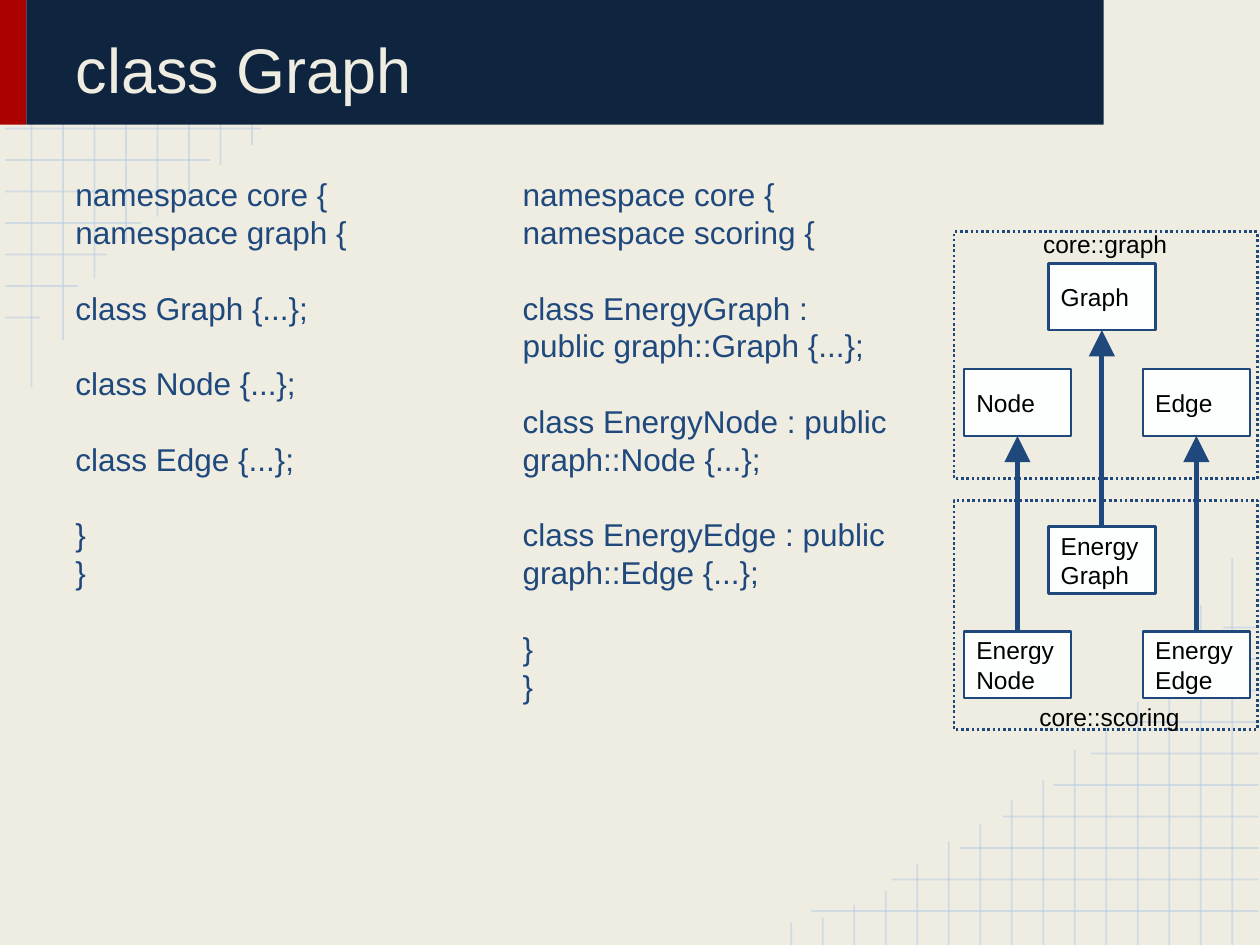
from lxml import etree
from pptx import Presentation
from pptx import util as u
from pptx.dml.color import RGBColor
from pptx.enum import dml, shapes, text
from pptx.oxml.ns import qn

CREAM = RGBColor(0xEF, 0xED, 0xE2)
GRID = RGBColor(0xB7, 0xCC, 0xE4)
RED = RGBColor(0xAB, 0x01, 0x01)
NAVY = RGBColor(0x0F, 0x24, 0x3E)
BLUE = RGBColor(0x1F, 0x49, 0x7D)
WHITE = RGBColor(0xFD, 0xFF, 0xFF)
BLACK = RGBColor(0, 0, 0)

ROW_ENDS = [3.59, 2.95, 2.41, 2.07, 1.67, 1.37, 1.12, 0.85, 0.62, 0.32]
COLUMN_ENDS = [3.07, 2.7, 2.21, 1.93, 1.72, 1.55, 1.31, 1.15,
               0.96, 0.82, 0.64, 0.43, 0.32, 0.22, 0.18]

GRAPH_CODE = [["namespace core {", "namespace graph {"], ["class Graph {...};"],
              ["class Node {...};"], ["class Edge {...};"], ["}", "}"]]
SCORING_CODE = [["namespace core {", "namespace scoring {"],
                ["class EnergyGraph : public graph::Graph {...};"],
                ["class EnergyNode : public graph::Node {...};"],
                ["class EnergyEdge : public graph::Edge {...};"], ["}", "}"]]

BOX_W, BOX_H = 0.85, 0.53
CLASSES = [("Graph", 8.32, 2.09, 4.18), ("Node", 7.65, 2.93, 5.01),
           ("Edge", 9.07, 2.93, 5.01)]


class Deck:
    """Holds the style and the current slide, and draws each kind of element."""

    font = "Arial"

    def __init__(self):
        self.prs = Presentation()
        self.prs.slide_width, self.prs.slide_height = u.Inches(10), u.Inches(7.5)
        self.s = self.prs.slides.add_slide(self.prs.slide_layouts[5])
        self.s.background.fill.solid()
        self.s.background.fill.fore_color.rgb = CREAM

    def frame(self, sp, size, color, anchor):
        tf = sp.text_frame
        tf.word_wrap = True
        tf.auto_size = text.MSO_AUTO_SIZE.NONE
        tf.vertical_anchor = anchor
        tf.margin_left = tf.margin_right = u.Inches(0.1)
        tf.margin_top = tf.margin_bottom = u.Inches(0.1)
        for p in tf.paragraphs:
            p.alignment = text.PP_ALIGN.LEFT
            for r in p.runs:
                r.font.name, r.font.size = self.font, u.Pt(size)
                r.font.color.rgb = color

    def title(self, words, x, y, w, h):
        sp = self.s.shapes.title
        sp.left, sp.top, sp.width, sp.height = map(u.Inches, (x, y, w, h))
        sp.text_frame.text = words
        self.frame(sp, 36, CREAM, text.MSO_ANCHOR.BOTTOM)
        self.s.shapes._spTree.append(sp._element)

    def text(self, blocks, x, y, w, h, size, color):
        sp = self.s.shapes.add_textbox(*map(u.Inches, (x, y, w, h)))
        tf = sp.text_frame
        tf.text = "\n".join(line for block in blocks for line in block)
        first = 0
        for block in blocks[:-1]:
            first += len(block)
            tf.paragraphs[first].space_before = u.Pt(size * 1.2)
        self.frame(sp, size, color, text.MSO_ANCHOR.TOP)

    def rect(self, x, y, w, h, fill=None, line=None, dash=None, words=""):
        sp = self.s.shapes.add_shape(shapes.MSO_SHAPE.RECTANGLE,
                                     *map(u.Inches, (x, y, w, h)))
        sp.shadow.inherit = False
        if fill is None:
            sp.fill.background()
        else:
            sp.fill.solid()
            sp.fill.fore_color.rgb = fill
        if line is None:
            sp.line.fill.background()
        else:
            sp.line.color.rgb, sp.line.width = line, u.Pt(1.5)
            sp.line.dash_style = dash
        if words:
            sp.text_frame.text = words
            self.frame(sp, 14, BLACK, text.MSO_ANCHOR.MIDDLE)

    def line(self, x1, y1, x2, y2, color, width):
        c = self.s.shapes.add_connector(shapes.MSO_CONNECTOR.STRAIGHT,
                                        *map(u.Inches, (x1, y1, x2, y2)))
        c.line.color.rgb, c.line.width = color, u.Pt(width)
        etree.SubElement(c._element.spPr, qn("a:effectLst"))
        return c.line._get_or_add_ln()

    def grid_line(self, x1, y1, x2, y2):
        ln = self.line(x1, y1, x2, y2, GRID, 1)
        etree.SubElement(ln.find(".//" + qn("a:srgbClr")), qn("a:alpha"), val="54000")

    def arrow(self, x1, y1, x2, y2):
        ln = self.line(x1, y1, x2, y2, BLUE, 3)
        etree.SubElement(ln, qn("a:tailEnd"), type="triangle", w="lg", len="lg")


def main():
    d = Deck()
    rows = [(0.04, 0.27 + 0.25 * i, x, 0.27 + 0.25 * i) for i, x in enumerate(ROW_ENDS)]
    columns = [(0.25 + 0.25 * i, y, 0.25 + 0.25 * i, 0) for i, y in enumerate(COLUMN_ENDS)]
    for x1, y1, x2, y2 in rows + columns:
        d.grid_line(x1, y1, x2, y2)
        d.grid_line(10.03 - x1, 7.5 - y1, 10.03 - x2, 7.5 - y2)

    d.rect(0, -0.01, 0.21, 1, RED)
    d.rect(0.21, -0.01, 8.55, 1, NAVY)
    d.title("class Graph", 0.5, 0.15, 8, 0.79)
    d.text(GRAPH_CODE, 0.5, 1.29, 9, 5.54, 18, BLUE)
    d.text(SCORING_CODE, 4.05, 1.29, 3.14, 5.29, 18, BLUE)

    for y, h in ((1.84, 1.96), (3.97, 1.82)):
        d.rect(7.57, y, 2.41, h, line=BLUE, dash=dml.MSO_LINE.ROUND_DOT)
    for name, x, base_y, energy_y in CLASSES:
        d.rect(x, base_y, BOX_W, BOX_H, WHITE, BLUE, words=name)
        d.rect(x, energy_y, BOX_W, BOX_H, WHITE, BLUE, words="Energy\v" + name)
        d.arrow(x + BOX_W / 2, energy_y, x + BOX_W / 2, base_y + BOX_H)
    d.text([["core::graph"]], 8.18, 1.72, 1.6, 0.33, 14, BLACK)
    d.text([["core::scoring"]], 8.15, 5.47, 1.6, 0.33, 14, BLACK)
    d.prs.save("out.pptx")


if __name__ == "__main__":
    main()
